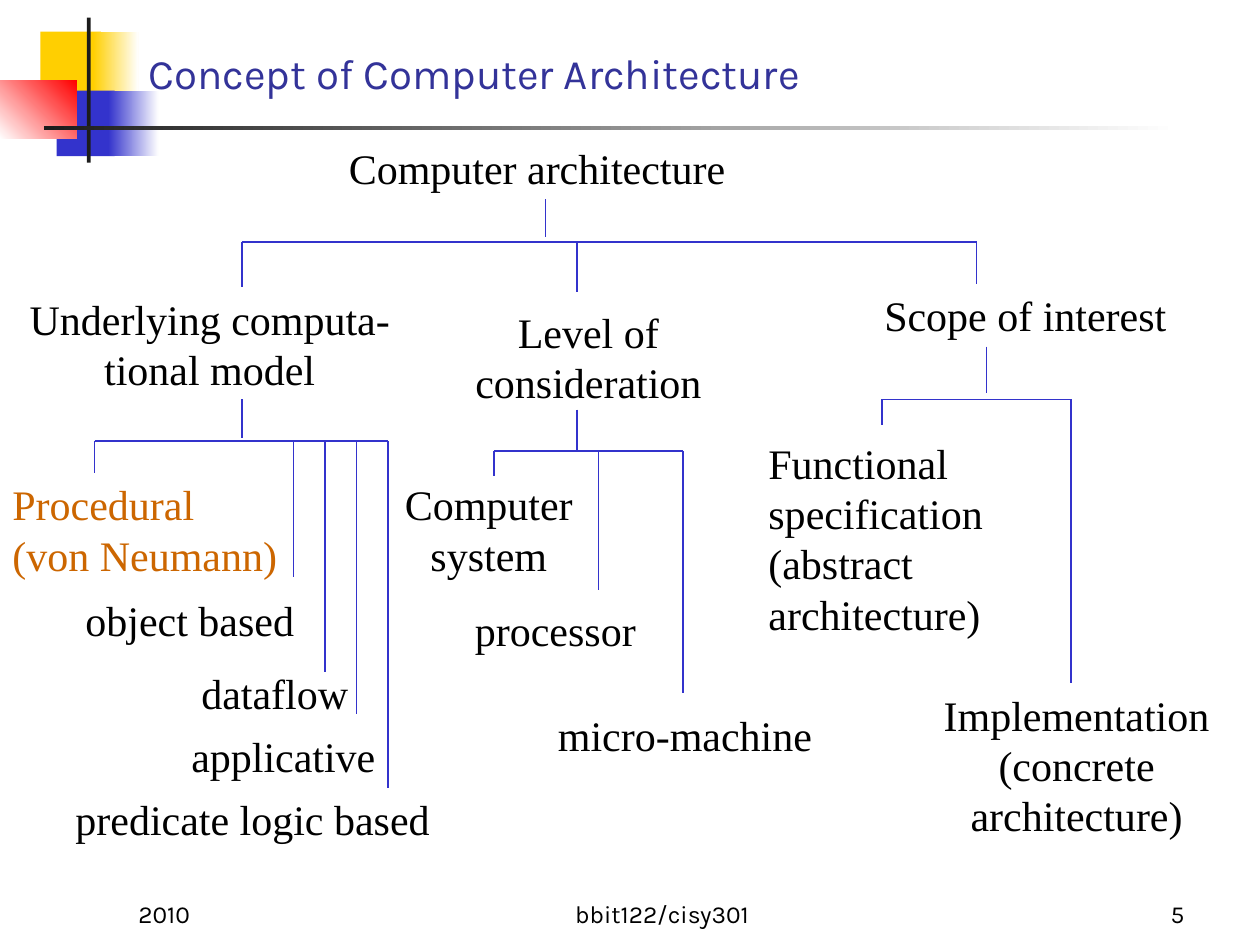
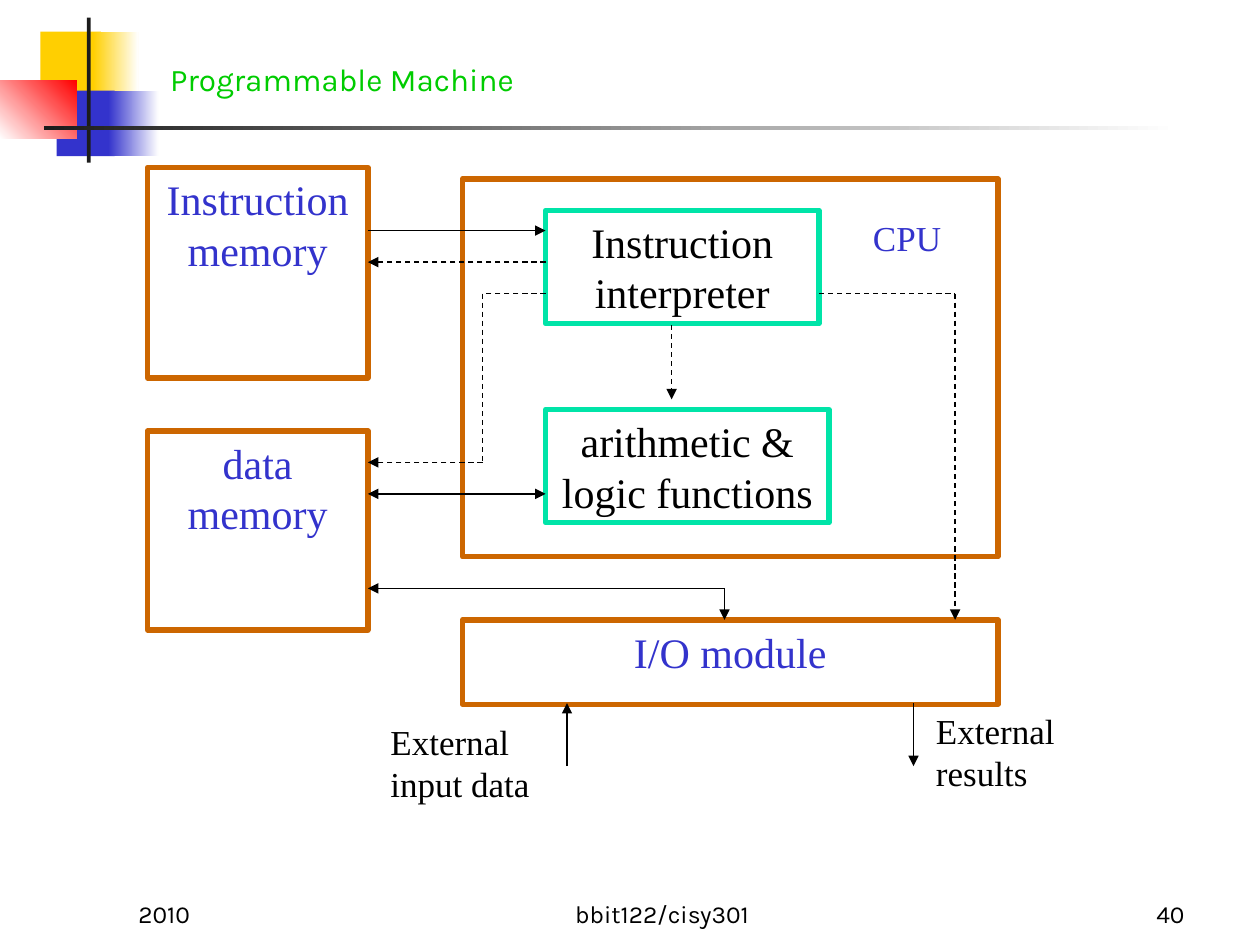
"""Build two lecture slides: an architecture concept tree and a machine diagram."""
from lxml import etree
from pptx import Presentation
from pptx.dml.color import RGBColor
from pptx.enum.dml import MSO_LINE
from pptx.enum.shapes import MSO_CONNECTOR, MSO_SHAPE
from pptx.enum.text import MSO_ANCHOR as ANCHOR, MSO_AUTO_SIZE, PP_ALIGN as ALIGN
from pptx.oxml.ns import qn
from pptx.util import Inches, Pt

BLACK = RGBColor(0x00, 0x00, 0x00)
WHITE = RGBColor(0xFF, 0xFF, 0xFF)
CHARCOAL = RGBColor(0x1C, 0x1C, 0x1C)
YELLOW = RGBColor(0xFF, 0xCF, 0x01)
RED = RGBColor(0xFF, 0x00, 0x00)
BLUE = RGBColor(0x33, 0x33, 0xCC)
NAVY = RGBColor(0x33, 0x33, 0x99)
GREEN = RGBColor(0x00, 0xCC, 0x00)
ORANGE = RGBColor(0xCC, 0x66, 0x00)
MINT = RGBColor(0x00, 0xE4, 0xA8)

HEADING_FONT = "Karla"
BODY_FONT = "Times New Roman"

BAND = [
    ((0.32, 0.25, 0.48, 0.52), (YELLOW,), 0),
    ((0.74, 0.25, 0.36, 0.52), (YELLOW, WHITE), 0),
    ((0.45, 0.72, 0.46, 0.52), (BLUE,), 0),
    ((0.86, 0.72, 0.4, 0.52), (BLUE, WHITE), 0),
    ((0, 0.64, 0.61, 0.46), (WHITE, RED), 45),
    ((0.69, 0.14, 0.03, 1.15), (CHARCOAL,), 0),
    ((0.35, 1, 9, 0.03), (CHARCOAL, WHITE), 0),
]

BRANCHES = [
    ((4.33, 1.58, 1.88), 1.92, [(1.92, 2.28), (4.58, 2.32), (7.75, 2.25)]),
    ((1.92, 3.17, 3.48), 3.5,
     [(0.75, 3.75), (2.33, 4.58), (2.58, 5.33), (2.83, 5.67), (3.08, 6.25)]),
    ((4.58, 3.25, 3.58), 3.58, [(3.92, 3.78), (4.75, 4.68), (5.42, 5.5)]),
    ((7.83, 2.75, 3.12), 3.17, [(7, 3.37), (8.5, 5.42)]),
]

CONCEPTS = [
    ((2.67, 1.08, 3.33, 0.48), ["Computer architecture"], ALIGN.LEFT, BLACK),
    ((0, 2.28, 3.33, 0.7), ["Underlying computa-tional model"], ALIGN.CENTER, BLACK),
    ((3.42, 2.38, 2.5, 0.5), ["Level of consideration"], ALIGN.CENTER, BLACK),
    ((6.92, 2.25, 2.5, 0.5), ["Scope of interest"], ALIGN.LEFT, BLACK),
    ((0, 3.75, 2.33, 0.75), ["Procedural (von Neumann)"], ALIGN.LEFT, ORANGE),
    ((0.58, 4.67, 2, 0.55), ["object based"], ALIGN.LEFT, BLACK),
    ((1.5, 5.25, 1.4, 0.55), ["dataflow"], ALIGN.LEFT, BLACK),
    ((1.42, 5.75, 1.83, 0.4), ["applicative"], ALIGN.LEFT, BLACK),
    ((0.5, 6.25, 3.08, 0.5), ["predicate logic based"], ALIGN.LEFT, BLACK),
    ((3.08, 3.75, 1.6, 0.5), ["Computer system"], ALIGN.CENTER, BLACK),
    ((3.67, 4.75, 1.65, 0.58), ["processor"], ALIGN.LEFT, BLACK),
    ((4.33, 5.58, 2.33, 0.58), ["micro-machine"], ALIGN.LEFT, BLACK),
    ((6, 3.42, 2.08, 0.9), ["Functional specification", "(abstract architecture)"],
     ALIGN.LEFT, BLACK),
    ((7.33, 5.42, 2.43, 0.69), ["Implementation", "(concrete architecture)"],
     ALIGN.CENTER, BLACK),
]

UNITS = [
    ((3.67, 1.42, 4.25, 3), "", ORANGE, BLUE),
    ((1.17, 1.33, 1.75, 1.67), "Instruction memory", ORANGE, BLUE),
    ((1.17, 3.42, 1.75, 1.58), "data memory", ORANGE, BLUE),
    ((3.67, 4.92, 4.25, 0.67), "I/O module", ORANGE, BLUE),
    ((4.33, 1.67, 2.17, 0.9), "Instruction interpreter", MINT, BLACK),
    ((4.33, 3.25, 2.25, 0.9), "arithmetic & logic functions", MINT, BLACK),
]

UNIT_NOTES = [
    ((6.83, 1.67, 1, 0.44), "CPU", BLUE),
    ((3, 5.67, 1.42, 0.77), "External input data", BLACK),
    ((7.33, 5.58, 1.25, 0.77), "External results", BLACK),
]

DATA_ROUTES = [
    ([(2.92, 1.83), (4.33, 1.83)], False),
    ([(2.92, 3.92), (4.33, 3.92)], True),
    ([(2.92, 4.67), (5.75, 4.67), (5.75, 4.92)], True),
    ([(4.5, 6.08), (4.5, 5.58)], False),
    ([(7.25, 5.58), (7.25, 6.08)], False),
]

CONTROL_ROUTES = [
    [(4.33, 2.08), (2.92, 2.08)],
    [(5.33, 2.58), (5.33, 3.17)],
    [(4.33, 2.33), (3.83, 2.33), (3.83, 3.67), (2.92, 3.67)],
    [(6.5, 2.33), (7.58, 2.33), (7.58, 4.92)],
]


def inches(area):
    """Turn a tuple of numbers into lengths."""
    return [Inches(value) for value in area]


def write(shape, paragraphs, size, color, font=BODY_FONT, align=ALIGN.LEFT,
          anchor=ANCHOR.TOP):
    """Fill a shape with wrapped paragraphs of one style."""
    frame = shape.text_frame
    frame.word_wrap = True
    frame.auto_size = MSO_AUTO_SIZE.NONE
    frame.vertical_anchor = anchor
    for index, text in enumerate(paragraphs):
        paragraph = frame.add_paragraph() if index else frame.paragraphs[0]
        paragraph.alignment = align
        run = paragraph.add_run()
        run.text = text
        run.font.name = font
        run.font.size = Pt(size)
        run.font.color.rgb = color


def add_label(slide, area, paragraphs, size, color, **style):
    """Add a free-standing label."""
    write(slide.shapes.add_textbox(*inches(area)), paragraphs, size, color, **style)


def add_box(slide, area):
    """Add a rectangle without a shadow."""
    box = slide.shapes.add_shape(MSO_SHAPE.RECTANGLE, *inches(area))
    box.shadow.inherit = False
    return box


def add_band(slide):
    """Draw the coloured corner blocks and the fading rule."""
    for area, colors, angle in BAND:
        block = add_box(slide, area)
        block.line.fill.background()
        if len(colors) == 1:
            block.fill.solid()
            block.fill.fore_color.rgb = colors[0]
        else:
            block.fill.gradient()
            block.fill.gradient_angle = angle
            for stop, color in zip(block.fill.gradient_stops, colors):
                stop.color.rgb = color


def add_footer(slide, number):
    """Write the year, course code and slide number."""
    for left, width, text, align in [
        (1, 2.08, "2010", ALIGN.LEFT),
        (3.67, 3.17, "bbit122/cisy301", ALIGN.CENTER),
        (7.42, 2.08, str(number), ALIGN.RIGHT),
    ]:
        add_label(slide, (left, 6.92, width, 0.5), [text], 14, BLACK,
                  font=HEADING_FONT, align=align, anchor=ANCHOR.BOTTOM)


def start_slide(deck, number, heading, area, size, color, anchor):
    """Add a slide with its band, footer and heading."""
    slide = deck.slides.add_slide(deck.slide_layouts[5])
    add_band(slide)
    add_footer(slide, number)
    title = slide.shapes.title
    title.left, title.top, title.width, title.height = inches(area)
    write(title, [heading], size, color, font=HEADING_FONT, anchor=anchor)
    tree = slide.shapes.element
    tree.append(title.element)
    return slide


def add_line(slide, start, end, color, dashed=False, head=False, tail=False):
    """Draw a thin line with optional arrowheads at its start and end."""
    line = slide.shapes.add_connector(MSO_CONNECTOR.STRAIGHT, *inches(start + end))
    line.line.color.rgb = color
    line.line.width = Pt(0.75)
    if dashed:
        line.line.dash_style = MSO_LINE.DASH
    outline = line.line.fill and line.element.spPr.find(qn("a:ln"))
    for tag, wanted in (("a:headEnd", head), ("a:tailEnd", tail)):
        if wanted:
            etree.SubElement(outline, qn(tag), type="triangle")
    etree.SubElement(line.element.spPr, qn("a:effectLst"))


def add_route(slide, points, dashed=False, both_ways=False):
    """Draw a bent route that ends in an arrow."""
    last = len(points) - 2
    for index, (start, end) in enumerate(zip(points, points[1:])):
        add_line(slide, start, end, BLACK, dashed,
                 head=both_ways and index == 0, tail=index == last)


def add_branch(slide, stem, bus, drops):
    """Draw a stem, the bar below it and a drop to each child."""
    x, top, bottom = stem
    add_line(slide, (x, top), (x, bottom), BLUE)
    add_line(slide, (drops[0][0], bus), (drops[-1][0], bus), BLUE)
    for child, end in drops:
        add_line(slide, (child, bus), (child, end), BLUE)


def add_unit(slide, area, name, border, color):
    """Draw an outlined machine unit with its name."""
    unit = add_box(slide, area)
    unit.fill.background()
    unit.line.color.rgb = border
    unit.line.width = Pt(3)
    if name:
        write(unit, [name], 24, color, align=ALIGN.CENTER)


def build_concept_slide(deck):
    """Build the tree of architecture concepts."""
    slide = start_slide(deck, 5, "Concept of Computer Architecture",
                        (1.08, 0.33, 8.17, 0.5), 24, NAVY, ANCHOR.MIDDLE)
    for branch in BRANCHES:
        add_branch(slide, *branch)
    for area, paragraphs, align, color in CONCEPTS:
        add_label(slide, area, paragraphs, 24, color, align=align)


def build_machine_slide(deck):
    """Build the diagram of the programmable machine."""
    slide = start_slide(deck, 40, "Programmable Machine",
                        (1.25, 0.33, 8.08, 0.5), 18, GREEN, ANCHOR.BOTTOM)
    for unit in UNITS:
        add_unit(slide, *unit)
    for area, text, color in UNIT_NOTES:
        add_label(slide, area, [text], 20, color)
    for points, both_ways in DATA_ROUTES:
        add_route(slide, points, both_ways=both_ways)
    for points in CONTROL_ROUTES:
        add_route(slide, points, dashed=True)


def main():
    """Create and save the deck."""
    deck = Presentation()
    deck.slide_width, deck.slide_height = inches((10, 7.5))
    build_concept_slide(deck)
    build_machine_slide(deck)
    deck.save("out.pptx")


if __name__ == "__main__":
    main()
